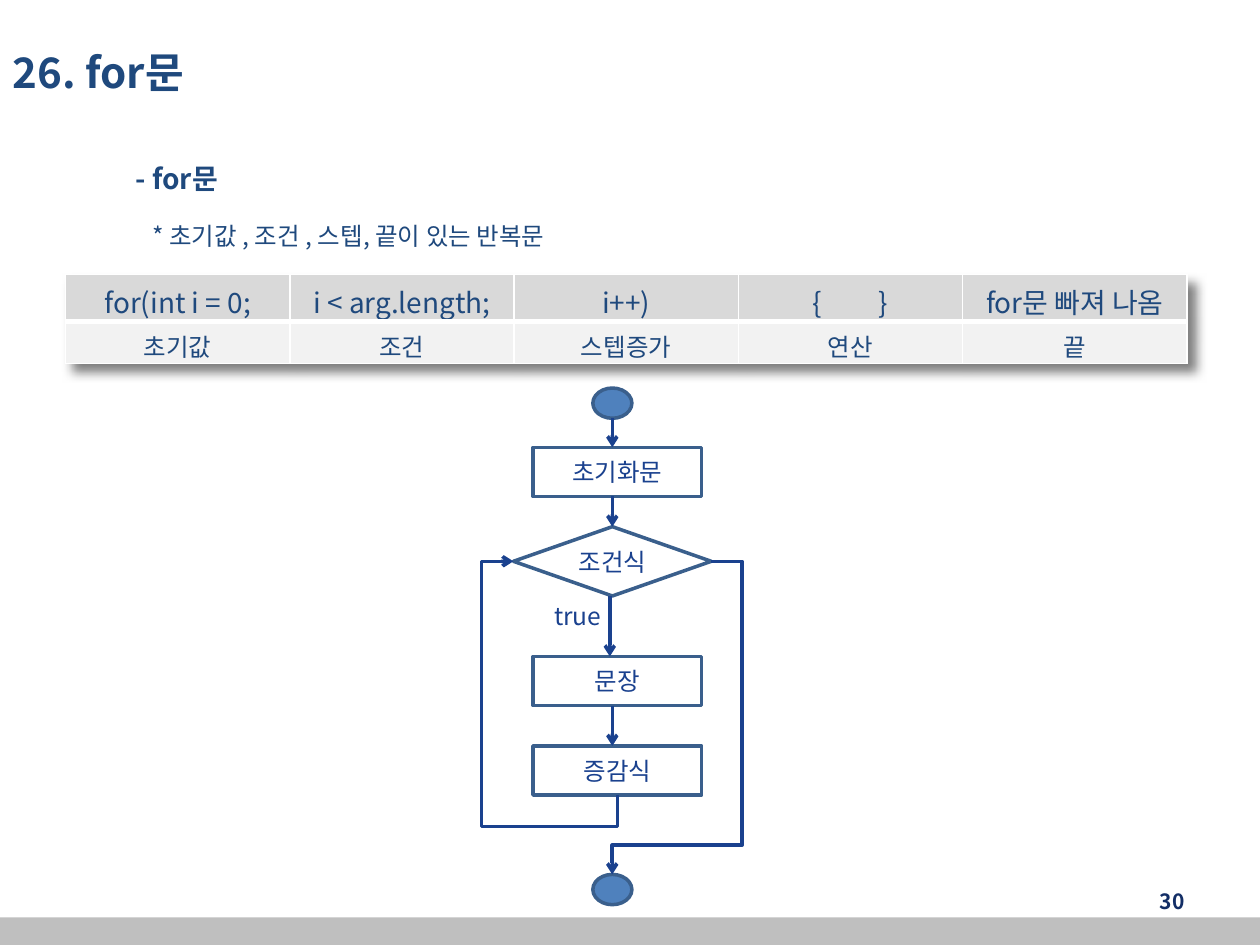
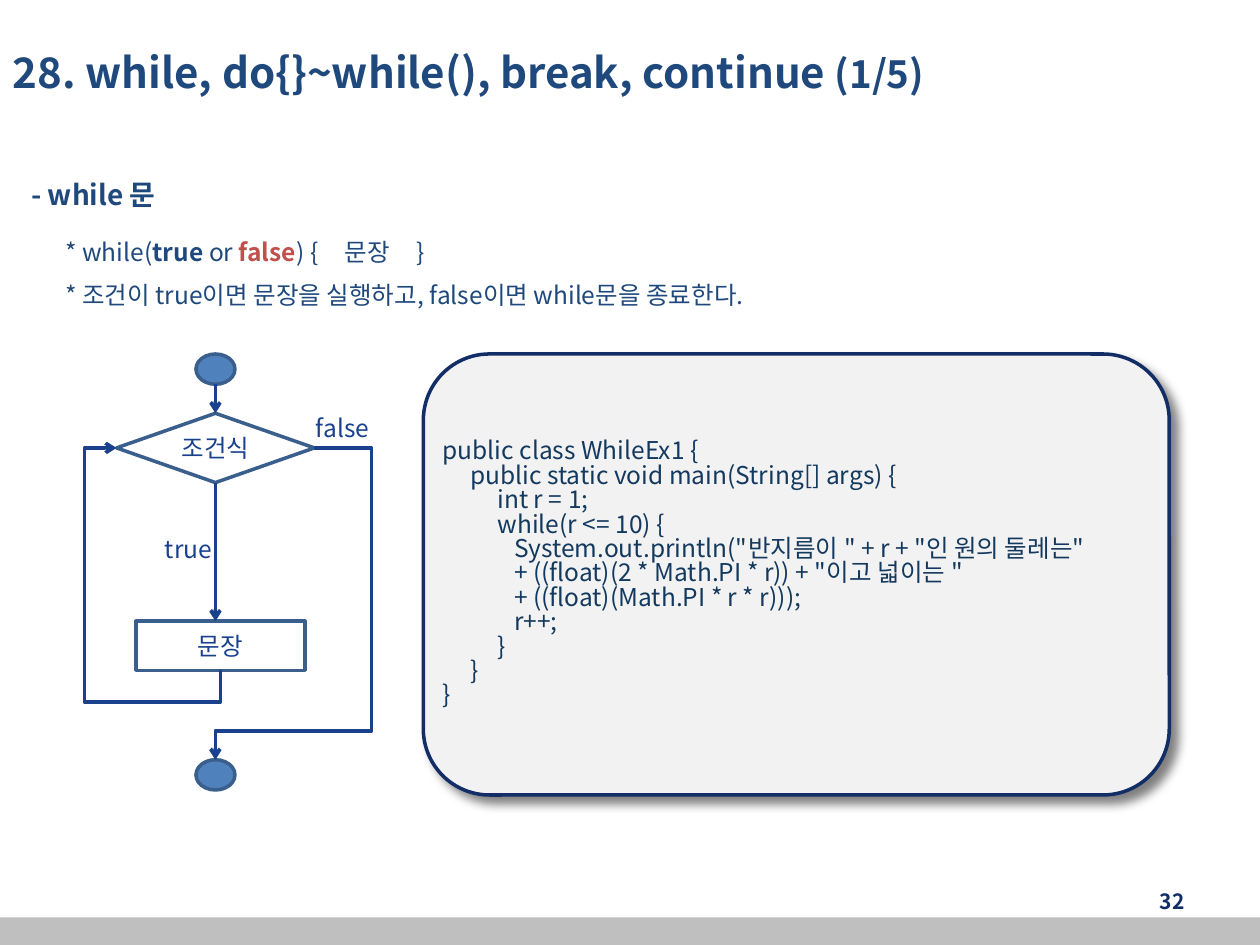
from dataclasses import dataclass
from itertools import pairwise
from typing import NamedTuple, Optional

import lxml.etree
import pptx
import pptx.dml.color
import pptx.enum.shapes
import pptx.enum.text
import pptx.oxml.ns
import pptx.util

SHAPE = pptx.enum.shapes.MSO_SHAPE
CONNECTOR = pptx.enum.shapes.MSO_CONNECTOR
ALIGN = pptx.enum.text.PP_ALIGN
ANCHOR = pptx.enum.text.MSO_ANCHOR
qn = pptx.oxml.ns.qn

WIDTH, HEIGHT = pptx.util.Inches(10), pptx.util.Inches(7.5)
COLUMNS, ROWS = 100, 75
TITLE_ONLY = 5


@dataclass(frozen=True)
class Theme:
    font: str = "Noto Sans CJK KR"
    heading: str = "1F497D"
    flow: str = "1A418E"
    outline: str = "3A5F8C"
    terminal: str = "4F81BD"
    navy: str = "132E66"
    code: str = "14395E"
    alert: str = "C0504D"
    band: str = "BFBFBF"
    table_head: str = "D9D9D9"
    panel: str = "F2F2F2"
    white: str = "FFFFFF"
    shadow: str = "000000"
    title_size: float = 24
    title_part_size: float = 22
    heading_size: float = 16
    body_size: float = 14
    page_size: float = 12
    line_width: float = 2


THEME = Theme()


class Area(NamedTuple):
    left: float
    top: float
    width: float
    height: float


class Point(NamedTuple):
    column: float
    row: float


@dataclass(frozen=True)
class Span:
    text: str
    bold: Optional[bool] = None
    color: Optional[str] = None
    size: Optional[float] = None
    spread: float = 0


@dataclass(frozen=True)
class Style:
    size: float = THEME.body_size
    color: str = THEME.heading
    bold: bool = False
    align: ALIGN = ALIGN.LEFT
    gap: float = 0
    spacing: Optional[float] = None


@dataclass(frozen=True)
class Node:
    kind: str
    top: float
    text: str = ""


@dataclass(frozen=True)
class Flow:
    axis: float
    nodes: list[Node]
    exit_reach: float
    true_label: Point
    false_label: Optional[Point] = None
    branch_shift: float = 0


class Form(NamedTuple):
    shape: SHAPE
    offset: float
    width: float
    height: float


FORMS = {
    "terminal": Form(SHAPE.FLOWCHART_CONNECTOR, -1.55, 3.1, 2.4),
    "step": Form(SHAPE.RECTANGLE, -6.3, 13.4, 3.9),
    "condition": Form(SHAPE.DIAMOND, -7.85, 15.7, 5.5),
}
LABEL_STYLE = Style(color=THEME.flow)
NODE_STYLE = Style(color=THEME.flow, align=ALIGN.CENTER)


def across(columns: float) -> int:
    return round(WIDTH * columns / COLUMNS)


def down(rows: float) -> int:
    return round(HEIGHT * rows / ROWS)


def place(area: Area) -> tuple[int, int, int, int]:
    return across(area.left), down(area.top), across(area.width), down(area.height)


def rgb(color: str) -> pptx.dml.color.RGBColor:
    return pptx.dml.color.RGBColor.from_string(color)


def child(parent, tag: str, **attributes):
    element = lxml.etree.SubElement(parent, qn(tag))
    for name, value in attributes.items():
        element.set(name, str(value))
    return element


def write(frame, lines: list, style: Style) -> None:
    for index, line in enumerate(lines):
        para = frame.paragraphs[0] if index == 0 else frame.add_paragraph()
        para.alignment = style.align
        if index and style.gap:
            para.space_before = pptx.util.Pt(style.gap)
        if style.spacing:
            para.line_spacing = style.spacing
        font = para.font
        font.name, font.size, font.bold = THEME.font, pptx.util.Pt(style.size), style.bold
        font.color.rgb = rgb(style.color)
        child(para._p.pPr.find(qn("a:defRPr")), "a:ea", typeface=THEME.font)
        for span in [Span(line)] if isinstance(line, str) else line:
            run = para.add_run()
            run.text = span.text
            if span.bold is not None:
                run.font.bold = span.bold
            if span.color:
                run.font.color.rgb = rgb(span.color)
            if span.size:
                run.font.size = pptx.util.Pt(span.size)
            if span.spread:
                run._r.get_or_add_rPr().set("spc", str(round(span.spread * 100)))


def add_text(slide, area: Area, lines: list, style: Style,
             anchor: ANCHOR = ANCHOR.TOP, wrap: bool = True) -> None:
    frame = slide.shapes.add_textbox(*place(area)).text_frame
    frame.word_wrap, frame.vertical_anchor = wrap, anchor
    frame.margin_top = frame.margin_bottom = 0
    write(frame, lines, style)


def add_form(slide, kind: SHAPE, area: Area, fill: Optional[str], line: Optional[str]):
    shape = slide.shapes.add_shape(kind, *place(area))
    shape.shadow.inherit = False
    if fill:
        shape.fill.solid()
        shape.fill.fore_color.rgb = rgb(fill)
    else:
        shape.fill.background()
    if line:
        shape.line.color.rgb = rgb(line)
        shape.line.width = pptx.util.Pt(THEME.line_width)
    else:
        shape.line.fill.background()
    return shape


def add_shadow(effects) -> None:
    distance = pptx.util.Pt(6)
    shadow = child(effects, "a:outerShdw", blurRad=distance, dist=distance,
                   dir=45 * 60000, algn="tl", rotWithShape=0)
    child(child(shadow, "a:srgbClr", val=THEME.shadow), "a:alpha", val=50000)


def add_arrow(slide, start: Point, end: Point, kind: CONNECTOR = CONNECTOR.STRAIGHT):
    arrow = slide.shapes.add_connector(kind, across(start.column), down(start.row),
                                       across(end.column), down(end.row))
    arrow.line.color.rgb = rgb(THEME.flow)
    arrow.line.width = pptx.util.Pt(THEME.line_width)
    properties = arrow._element.spPr
    child(properties.find(qn("a:ln")), "a:tailEnd", type="arrow")
    child(properties, "a:effectLst")
    return arrow


def add_detour(slide, start: Point, end: Point, corner: Point, turned: bool) -> None:
    ratios = [(start.column - corner.column) / (start.column - end.column),
              (start.row - corner.row) / (start.row - end.row)]
    first, last = start, end
    if turned:
        ratios.reverse()
        middle = Point((start.column + end.column) / 2, (start.row + end.row) / 2)
        half_width, half_height = (start.row - end.row) / 2, (start.column - end.column) / 2
        first = Point(middle.column + half_width, middle.row - half_height)
        last = Point(middle.column - half_width, middle.row + half_height)
    arrow = add_arrow(slide, first, last, CONNECTOR.ELBOW)
    properties = arrow._element.spPr
    if turned:
        properties.find(qn("a:xfrm")).set("rot", str(90 * 60000))
    geometry = properties.find(qn("a:prstGeom"))
    geometry.set("prst", "bentConnector4")
    guides = geometry.find(qn("a:avLst"))
    for index, ratio in enumerate(ratios, 1):
        child(guides, "a:gd", name=f"adj{index}", fmla=f"val {round(ratio * 100000)}")


def add_flow(slide, flow: Flow) -> None:
    for node in flow.nodes:
        form = FORMS[node.kind]
        fill = THEME.terminal if node.kind == "terminal" else None
        area = Area(flow.axis + form.offset, node.top, form.width, form.height)
        shape = add_form(slide, form.shape, area, fill, THEME.outline)
        if node.text:
            frame = shape.text_frame
            frame.margin_left = frame.margin_right = 0
            frame.word_wrap, frame.vertical_anchor = False, ANCHOR.MIDDLE
            write(frame, [node.text], NODE_STYLE)
    *path_nodes, finish = flow.nodes
    for upper, lower in pairwise(path_nodes):
        column = flow.axis + (flow.branch_shift if upper.kind == "condition" else 0)
        add_arrow(slide, Point(column, upper.top + FORMS[upper.kind].height),
                  Point(column, lower.top))
    condition = next(node for node in flow.nodes if node.kind == "condition")
    diamond = FORMS["condition"]
    level = condition.top + diamond.height / 2
    bottom = path_nodes[-1].top + FORMS["step"].height
    add_detour(slide, Point(flow.axis + 0.4, bottom), Point(flow.axis + diamond.offset, level),
               Point(flow.axis - 10.4, bottom + 2.5), True)
    add_detour(slide, Point(flow.axis - diamond.offset, level), Point(flow.axis, finish.top),
               Point(flow.axis + flow.exit_reach, finish.top - 2.3), False)
    for text, point in (("true", flow.true_label), ("false", flow.false_label)):
        if point:
            add_text(slide, Area(*point, 8, 2.8), [text], LABEL_STYLE, wrap=False)


def add_table(slide, area: Area, rows: list) -> None:
    table = slide.shapes.add_table(len(rows), len(rows[0]), *place(area)).table
    table.first_row = table.horz_banding = False
    effects = lxml.etree.Element(qn("a:effectLst"))
    add_shadow(effects)
    table._tbl.tblPr.insert(0, effects)
    looks = [(3.7, THEME.table_head, THEME.heading_size, 3), (3.3, THEME.panel, THEME.body_size, 1)]
    for row_index, (texts, (height, fill, size, under)) in enumerate(zip(rows, looks)):
        table.rows[row_index].height = down(height)
        for cell, text in zip(table.rows[row_index].cells, texts):
            cell.vertical_anchor = ANCHOR.MIDDLE
            write(cell.text_frame, [text], Style(size=size, align=ALIGN.CENTER))
            properties = cell._tc.get_or_add_tcPr()
            for side, width in (("L", 1), ("R", 1), ("T", 1 if row_index == 0 else 3), ("B", under)):
                border = child(properties, f"a:ln{side}", w=pptx.util.Pt(width))
                child(child(border, "a:solidFill"), "a:srgbClr", val=THEME.white)
            cell.fill.solid()
            cell.fill.fore_color.rgb = rgb(fill)


def add_code(slide, area: Area, code: str) -> None:
    panel = add_form(slide, SHAPE.ROUNDED_RECTANGLE, area, THEME.panel, THEME.navy)
    panel.adjustments[0] = 0.15
    add_shadow(panel._element.spPr.find(qn("a:effectLst")))
    frame = panel.text_frame
    frame.margin_left = frame.margin_right = 0
    frame.word_wrap, frame.vertical_anchor = True, ANCHOR.MIDDLE
    write(frame, code.splitlines(), Style(color=THEME.code, spacing=0.83))


def add_page(deck, title: list, number: str):
    slide = deck.slides.add_slide(deck.slide_layouts[TITLE_ONLY])
    holder = slide.shapes.title
    holder.left, holder.top, holder.width, holder.height = place(Area(0, 1.3, 76.5, 8.7))
    holder.text_frame.vertical_anchor = ANCHOR.MIDDLE
    write(holder.text_frame, [title], Style(size=THEME.title_size, bold=True))
    add_text(slide, Area(71.7, 69.5, 23.3, 4), [number],
             Style(THEME.page_size, THEME.navy, True, ALIGN.RIGHT), ANCHOR.MIDDLE)
    add_form(slide, SHAPE.RECTANGLE, Area(0, 72.8, COLUMNS, 2.2), THEME.band, None)
    return slide


def add_topic(slide, corner: Point, heading: str, indent: float, points: list) -> None:
    add_text(slide, Area(*corner, 80, 3.2), [heading], Style(THEME.heading_size, bold=True))
    add_text(slide, Area(corner.column + indent, corner.row + 4.7, 80, 2.8 * len(points)),
             points, Style(gap=8))


CODE = '''public class WhileEx1 {
     public static void main(String[] args) {
          int r = 1;
          while(r <= 10) {
             System.out.println("반지름이 " + r + "인 원의 둘레는"
             + ((float)(2 * Math.PI * r)) + "이고 넓이는 "
             + ((float)(Math.PI * r * r)));
             r++;
          }
     }
}'''


def build_for_page(deck) -> None:
    slide = add_page(deck, [Span("26. for문")], "30")
    add_topic(slide, Point(9.8, 12.8), "- for문", 1.3, ["* 초기값 , 조건 , 스텝, 끝이 있는 반복문"])
    braces = [Span("{"), Span(" ", spread=29), Span("}")]
    add_table(slide, Area(5.2, 21.8, 89, 7), [
        ["for(int i = 0;", "i < arg.length;", "i++)", braces, "for문 빠져 나옴"],
        ["초기값", "조건", "스텝증가", "연산", "끝"]])
    add_flow(slide, Flow(48.6, [
        Node("terminal", 30.8), Node("step", 35.5, "초기화문"), Node("condition", 41.8, "조건식"),
        Node("step", 52.1, "문장"), Node("step", 59.2, "증감식"), Node("terminal", 69.4)],
        10.3, Point(43, 47.7), branch_shift=-0.2))


def build_while_page(deck) -> None:
    slide = add_page(deck, [Span("28. while, do{}~while(), break, continue "),
                            Span("(1/5)", size=THEME.title_part_size)], "32")
    wide = Span(" ", spread=12)
    syntax = [Span("* while("), Span("true", bold=True), Span(" or "),
              Span("false", bold=True, color=THEME.alert), Span(") {"), wide,
              Span("문장"), wide, Span("}")]
    add_topic(slide, Point(1.5, 14.1), "- while 문", 2.7, [
        syntax, "* 조건이 true이면 문장을 실행하고, false이면 while문을 종료한다."])
    add_flow(slide, Flow(17.1, [
        Node("terminal", 28.1), Node("condition", 32.8, "조건식"),
        Node("step", 49.3, "문장"), Node("terminal", 60.3)],
        12.4, Point(12.1, 42.4), Point(24.1, 32.8)))
    add_code(slide, Area(33.6, 28.1, 59.2, 35), CODE)


def main() -> None:
    deck = pptx.Presentation()
    deck.slide_width, deck.slide_height = WIDTH, HEIGHT
    build_for_page(deck)
    build_while_page(deck)
    deck.save("out.pptx")


if __name__ == "__main__":
    main()
